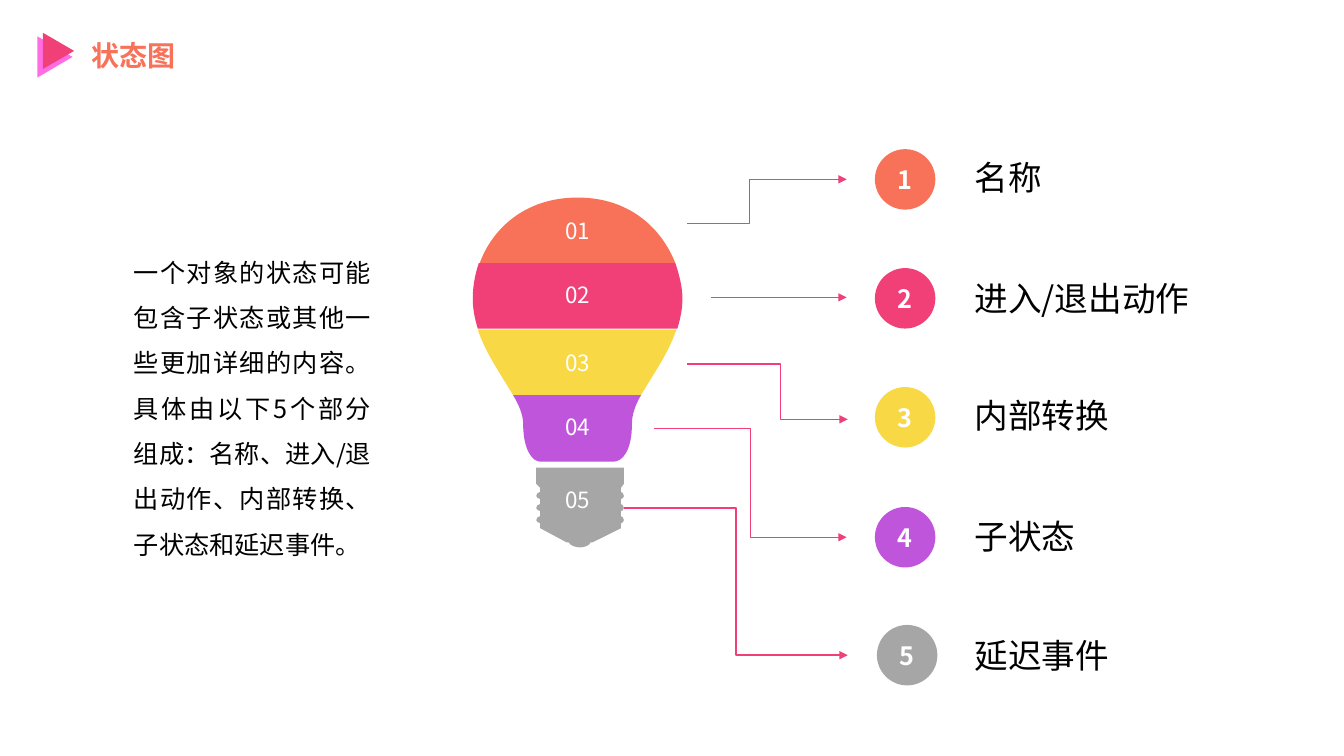
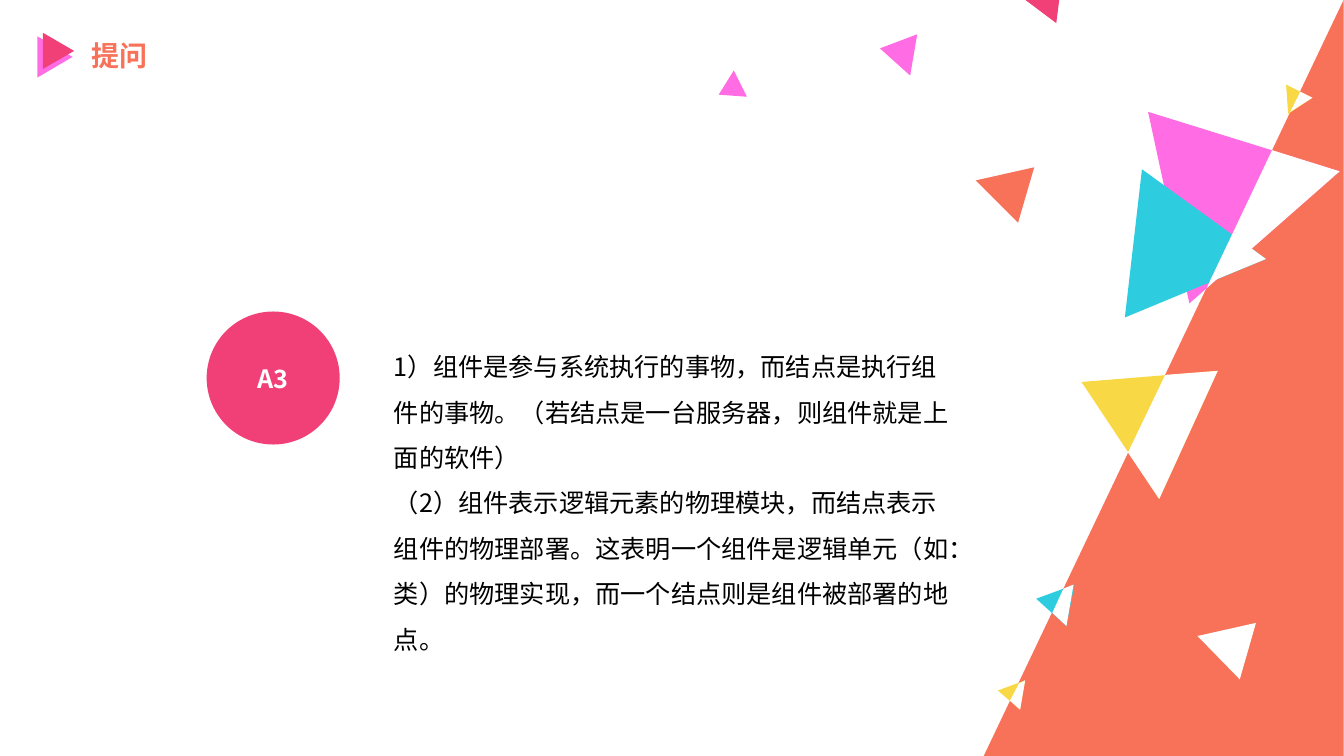
from lxml import etree
from pptx import Presentation
from pptx.dml.color import RGBColor
from pptx.enum.shapes import MSO_CONNECTOR as CONNECTOR, MSO_SHAPE as SHAPE
from pptx.enum.text import MSO_ANCHOR as ANCHOR, MSO_AUTO_SIZE as AUTO_SIZE, PP_ALIGN as ALIGN
from pptx.oxml.ns import qn
from pptx.util import Pt

PX = 9144  # 100 px to the inch
FONT = "Noto Sans CJK SC"
CORAL = RGBColor(0xF7, 0x72, 0x58)
ROSE = RGBColor(0xF0, 0x40, 0x77)
YELLOW = RGBColor(0xF8, 0xD8, 0x45)
PURPLE = RGBColor(0xBF, 0x55, 0xDB)
GRAY = RGBColor(0xA6, 0xA6, 0xA6)
PINK = RGBColor(0xFF, 0x6C, 0xE4)
CYAN = RGBColor(0x2D, 0xCC, 0xDF)
WHITE = RGBColor(0xFF, 0xFF, 0xFF)
BLACK = RGBColor(0, 0, 0)


def add_block(slide, box, text="", size=18, color=BLACK, kind=None, fill=None,
              bold=False, align=ALIGN.LEFT, spacing=None):
    """Add a text box, or a filled preset shape when a kind is given."""
    box = [length * PX for length in box]
    if kind is None:
        shape = slide.shapes.add_textbox(*box)
    else:
        shape = slide.shapes.add_shape(kind, *box)
        shape.shadow.inherit = False
        shape.fill.solid()
        shape.fill.fore_color.rgb = fill
        shape.line.fill.background()
    if text:
        frame = shape.text_frame
        frame.word_wrap = True
        if kind == SHAPE.OVAL:
            frame.vertical_anchor = ANCHOR.MIDDLE
        else:
            frame.vertical_anchor = ANCHOR.TOP
            frame.auto_size = AUTO_SIZE.SHAPE_TO_FIT_TEXT
        frame.text = text
        for paragraph in frame.paragraphs:
            paragraph.alignment = align
            paragraph.line_spacing = spacing
            font = paragraph.font
            font.name, font.size, font.bold = FONT, Pt(size), bold
            font.color.rgb = color
            properties = paragraph._p.pPr.find(qn("a:defRPr"))
            etree.SubElement(properties, qn("a:ea")).set("typeface", FONT)
    return shape


def add_outline(slide, fill, start, *segments):
    """Add a closed outline: a segment of 2 numbers is a line, of 6 a Bézier curve."""
    builder = slide.shapes.build_freeform(*start, scale=PX)
    builder.add_line_segments([segment[-2:] for segment in segments], close=True)
    shape = builder.convert_to_shape()
    shape.shadow.inherit = False
    shape.fill.solid()
    shape.fill.fore_color.rgb = fill
    shape.line.fill.background()
    # Turn the line to the end of each curve into the curve itself
    left, top = (min(point[axis] for point in (start, *[s[-2:] for s in segments]))
                 for axis in (0, 1))
    lines = list(shape._element.iter(qn("a:lnTo")))
    for line, segment in zip(lines, segments):
        if len(segment) == 6:
            line.tag = qn("a:cubicBezTo")
            line.remove(line[0])
            for x, y in zip(segment[::2], segment[1::2]):
                point = etree.SubElement(line, qn("a:pt"))
                point.set("x", str(x - left))
                point.set("y", str(y - top))


presentation = Presentation()
presentation.slide_width = 12192000  # 16:9
presentation.slide_height = 750 * PX

# Shared title with its double triangle
slides = []
for title in ("状态图", "提问"):
    slide = presentation.slides.add_slide(presentation.slide_layouts[6])
    add_block(slide, (81, 33, 354, 44), title, 20, CORAL, bold=True)
    for box, color in (((34, 39, 41, 35), PINK), ((40, 35, 36, 31), ROSE)):
        add_block(slide, box, kind=SHAPE.ISOSCELES_TRIANGLE, fill=color).rotation = 90
    slides.append(slide)
state_slide, question_slide = slides

# Bulb base with three screw threads on each side
base = [(532, 480), (536, 484)]
for y in (488, 500, 512):
    base += [(536, y), (534, y, 532, y + 2, 532, y + 4),
             (532, y + 5, 534, y + 7, 536, y + 7)]
base += [(536, 524), (562, 538), (564, 538), (566, 541, 570, 543, 576, 543),
         (580, 543, 585, 541, 586, 538), (588, 538), (616, 524)]
for y in (519, 507, 495):
    base += [(616, y), (617, y, 619, y - 1, 619, y - 3),
             (619, y - 5, 617, y - 7, 616, y - 7)]
base += [(616, 484), (619, 480), (619, 464)]
add_outline(state_slide, GRAY, (532, 464), *base)

# Bulb glass, from top to bottom
add_outline(state_slide, CORAL, (476, 261), (670, 261),
            (657, 228, 626, 196, 573, 196), (520, 196, 488, 228, 476, 261))
add_outline(state_slide, ROSE, (469, 296), (469, 307, 471, 316, 474, 326), (672, 326),
            (675, 316, 677, 307, 677, 296), (677, 285, 674, 273, 670, 261),
            (475, 261), (471, 273, 469, 285, 469, 296))
add_outline(state_slide, YELLOW, (509, 392), (636, 392),
            (647, 373, 663, 351, 671, 327), (474, 327),
            (482, 351, 498, 373, 509, 392))
add_outline(state_slide, PURPLE, (627, 420), (627, 412, 630, 402, 636, 392), (509, 392),
            (515, 402, 519, 412, 519, 420), (519, 448, 529, 458, 536, 458),
            (609, 458), (617, 458, 627, 448, 627, 420))

# Numbers on the bulb, badges and labels
parts = [
    ("名称", CORAL, 215, (868, 148), 151),
    ("进入/退出动作", ROSE, 279, (868, 266), 271),
    ("内部转换", YELLOW, 346, (868, 384), 387),
    ("子状态", PURPLE, 410, (868, 503), 507),
    ("延迟事件", GRAY, 482, (870, 620), 625),
]
for index, (label, color, number_top, badge, label_top) in enumerate(parts, 1):
    number = add_block(state_slide, (560, number_top, 26, 27), f"0{index}", 16, WHITE,
                       SHAPE.RECTANGLE, color, align=ALIGN.CENTER)
    frame = number.text_frame
    frame.margin_left = frame.margin_right = frame.margin_top = frame.margin_bottom = 0
    frame.word_wrap = False
    add_block(state_slide, (*badge, 60, 60), str(index), 18, WHITE,
              SHAPE.OVAL, color, bold=True, align=ALIGN.CENTER)
    add_block(state_slide, (957, label_top, 391, 50), label, 24)

# Arrows from the bulb to the badges, with the place of the bend
arrows = [
    ((682, 222, 840, 178), 0.39),
    ((705, 295, 840, 295), None),
    ((682, 361, 841, 416), 0.58),
    ((649, 425, 840, 533), 0.5),
    ((619, 504, 841, 650), 0.5),
]
for ends, bend in arrows:
    kind = CONNECTOR.ELBOW if bend else CONNECTOR.STRAIGHT
    arrow = state_slide.shapes.add_connector(kind, *[length * PX for length in ends])
    arrow.line.color.rgb = ROSE
    arrow.line.width = Pt(1)
    properties = arrow._element.spPr
    etree.SubElement(properties.find(qn("a:ln")), qn("a:tailEnd")).set("type", "triangle")
    etree.SubElement(properties, qn("a:effectLst"))
    if bend:
        adjustments = properties.find(qn("a:prstGeom")).get_or_add_avLst()
        guide = etree.SubElement(adjustments, qn("a:gd"))
        guide.set("name", "adj1")
        guide.set("fmla", f"val {round(bend * 100000)}")

# Explanation
add_block(state_slide, (123, 235, 255, 323),
          "一个对象的状态可能包含子状态或其他一些更加详细的内容。具体由以下5个部分组成："
          "名称、进入/退出动作、内部转换、子状态和延迟事件。",
          align=ALIGN.JUSTIFY, spacing=1.5)

# Slanted side panel
panel = add_block(question_slide, (976, 0, 357, 750), kind=SHAPE.ISOSCELES_TRIANGLE, fill=CORAL)
panel.adjustments[0] = 1

# Scattered triangles, then their white parts over the panel
scatter = [
    (CORAL, (1026, 166), (1010, 221), (968, 179)),
    (PINK, (1180, 301), (1139, 111), (1329, 170)),
    (CYAN, (1116, 315), (1133, 168), (1256, 257)),
    (CYAN, (1028, 594), (1066, 580), (1058, 621)),
    (YELLOW, (990, 685), (1017, 675), (1012, 704)),
    (YELLOW, (1073, 379), (1208, 368), (1150, 495)),
    (YELLOW, (1278, 113), (1276, 84), (1302, 97)),
    (PINK, (873, 48), (910, 34), (903, 75)),
    (ROSE, (1048, 23), (1016, -1), (1053, -17)),
    (WHITE, (1246, 618), (1230, 674), (1188, 631)),
    (WHITE, (1262, 149), (1329, 170), (1197, 286)),
    (WHITE, (1223, 233), (1256, 257), (1200, 280)),
    (WHITE, (1065, 580), (1058, 621), (1044, 608), (1055, 584)),
    (WHITE, (1017, 675), (1012, 704), (1002, 695), (1011, 678)),
    (WHITE, (1208, 368), (1150, 495), (1119, 449), (1156, 372)),
    (WHITE, (1290, 91), (1302, 97), (1280, 111)),
    (PINK, (713, 94), (728, 70), (741, 96)),
]
for color, *corners in scatter:
    add_outline(question_slide, color, *corners)

# Answer
add_block(question_slide, (205, 309, 132, 132), "A3", 18, WHITE, SHAPE.OVAL, ROSE,
          bold=True, align=ALIGN.CENTER)
add_block(question_slide, (381, 329, 574, 323),
          "1）组件是参与系统执行的事物，而结点是执行组件的事物。"
          "（若结点是一台服务器，则组件就是上面的软件）\n"
          "（2）组件表示逻辑元素的物理模块，而结点表示组件的物理部署。"
          "这表明一个组件是逻辑单元（如：类）的物理实现，而一个结点则是组件被部署的地点。",
          spacing=1.5)

presentation.save("out.pptx")
